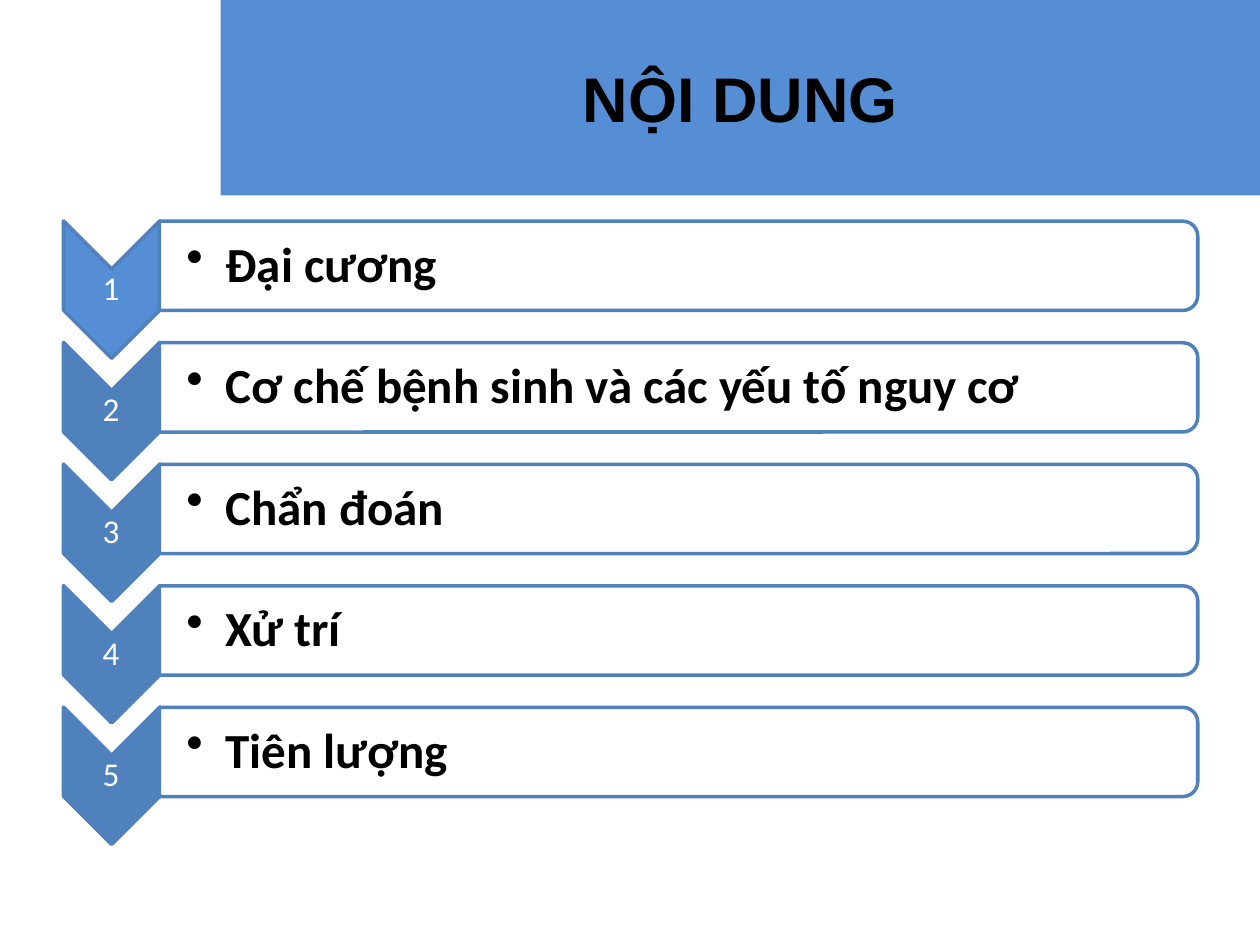
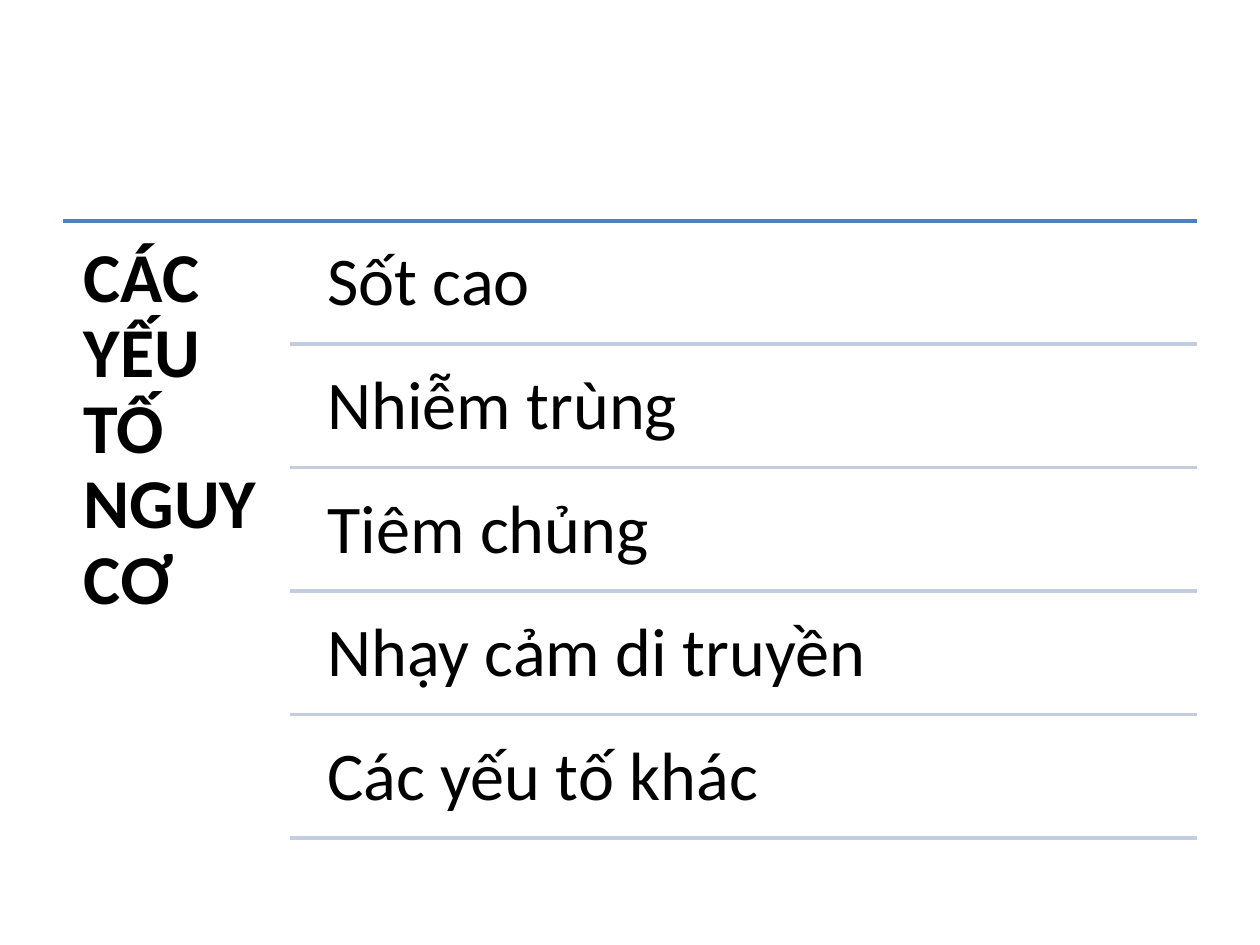
import pptx
import pptx.util
import pptx.dml.color
import pptx.enum.shapes
import pptx.enum.text
import pptx.oxml.ns
import lxml.etree

Cm = pptx.util.Cm
Pt = pptx.util.Pt
RGB = pptx.dml.color.RGBColor.from_string
KIND = pptx.enum.shapes.MSO_SHAPE
ALIGN = pptx.enum.text.PP_ALIGN
ANCHOR = pptx.enum.text.MSO_ANCHOR

COLORS = {
    "band": "558ED5",
    "accent": "4F81BD",
    "pale": "C2CDE1",
    "text": "000000",
    "white": "FFFFFF",
}


def write(shape, text, size, font="Calibri", color="text", bold=False,
          align=ALIGN.LEFT, anchor=ANCHOR.MIDDLE, inset=None, left=None,
          spacing=0.9, hang=None):
    """Fill a shape with one paragraph; inset, left and hang are in cm."""
    frame = shape.text_frame
    frame.word_wrap = True
    frame.vertical_anchor = anchor
    if inset is not None:
        frame.margin_top = frame.margin_right = frame.margin_bottom = Cm(inset)
        frame.margin_left = Cm(inset if left is None else left)
    para = frame.paragraphs[0]
    para.text = text
    para.alignment = align
    para.line_spacing = spacing
    if hang:
        props = para._p.get_or_add_pPr()
        props.set("marL", str(Cm(hang)))
        props.set("indent", str(-Cm(hang)))
        bullet = lxml.etree.SubElement(props, pptx.oxml.ns.qn("a:buChar"))
        bullet.set("char", "•")
    style = para.runs[0].font
    style.name = font
    style.size = Pt(size)
    style.bold = bold
    style.color.rgb = RGB(COLORS[color])


def rule(slide, left, right, top, color):
    """Draw a level line; left, right and top are in cm."""
    line = slide.shapes.add_connector(
        pptx.enum.shapes.MSO_CONNECTOR.STRAIGHT,
        Cm(left), Cm(top), Cm(right), Cm(top))
    line.line.color.rgb = RGB(COLORS[color])
    line.line.width = Pt(2)
    props = line._element.spPr
    lxml.etree.SubElement(props, pptx.oxml.ns.qn("a:effectLst"))


deck = pptx.Presentation()
deck.slide_width = Cm(25.4)
deck.slide_height = Cm(19.05)

# Slide 1: contents
slide = deck.slides.add_slide(deck.slide_layouts[5])
title = slide.shapes.title
title.left, title.top = Cm(4.45), Cm(0)
title.width, title.height = Cm(20.95), Cm(3.94)
title.fill.solid()
title.fill.fore_color.rgb = RGB(COLORS["band"])
write(title, "NỘI DUNG", 36, font="Arial", bold=True, align=ALIGN.CENTER,
      spacing=1.0)

topics = ["Đại cương", "Cơ chế bệnh sinh và các yếu tố nguy cơ", "Chẩn đoán",
          "Xử trí", "Tiên lượng"]
for index, topic in enumerate(topics):
    down = 2.45 * index
    # Both shapes are turned by 90 degrees: kind, middle x and y, width, height
    parts = [
        (KIND.CHEVRON, 2.25, 5.84, 2.77, 1.94, "accent" if index else "band"),
        (KIND.ROUND_2_SAME_RECTANGLE, 13.68, 5.36, 1.8, 20.93, "white"),
    ]
    for kind, mid_x, mid_y, width, height, color in parts:
        shape = slide.shapes.add_shape(
            kind, Cm(mid_x - width / 2), Cm(mid_y + down - height / 2),
            Cm(width), Cm(height))
        shape.rotation = 90
        shape.shadow.inherit = False
        shape.fill.solid()
        shape.fill.fore_color.rgb = RGB(COLORS[color])
        shape.line.color.rgb = RGB(COLORS["accent"])
        shape.line.width = Pt(2)

    number = slide.shapes.add_textbox(
        Cm(1.27), Cm(5.42 + down), Cm(1.94), Cm(0.84))
    write(number, str(index + 1), 19, color="white", align=ALIGN.CENTER,
          inset=0.03)
    label = slide.shapes.add_textbox(
        Cm(3.2), Cm(4.55 + down), Cm(20.83), Cm(1.63))
    write(label, topic, 28, bold=True, inset=0.05, left=0.56, hang=0.79)

# Slide 2: risk factors
slide = deck.slides.add_slide(deck.slide_layouts[6])
rule(slide, 1.27, 24.13, 4.45, "accent")
heading = slide.shapes.add_textbox(Cm(1.27), Cm(4.45), Cm(4.57), Cm(12.57))
write(heading, "CÁC YẾU TỐ NGUY CƠ", 40, bold=True, align=ALIGN.JUSTIFY,
      anchor=ANCHOR.TOP, inset=0.42)

factors = ["Sốt cao", "Nhiễm trùng", "Tiêm chủng", "Nhạy cảm di truyền",
           "Các yếu tố khác"]
for index, factor in enumerate(factors):
    down = 2.49 * index
    label = slide.shapes.add_textbox(
        Cm(6.19), Cm(4.57 + down), Cm(17.95), Cm(2.36))
    write(label, factor, 39, anchor=ANCHOR.TOP, inset=0.41)
    rule(slide, 5.84, 24.13, 6.93 + down, "pale")

deck.save("out.pptx")
